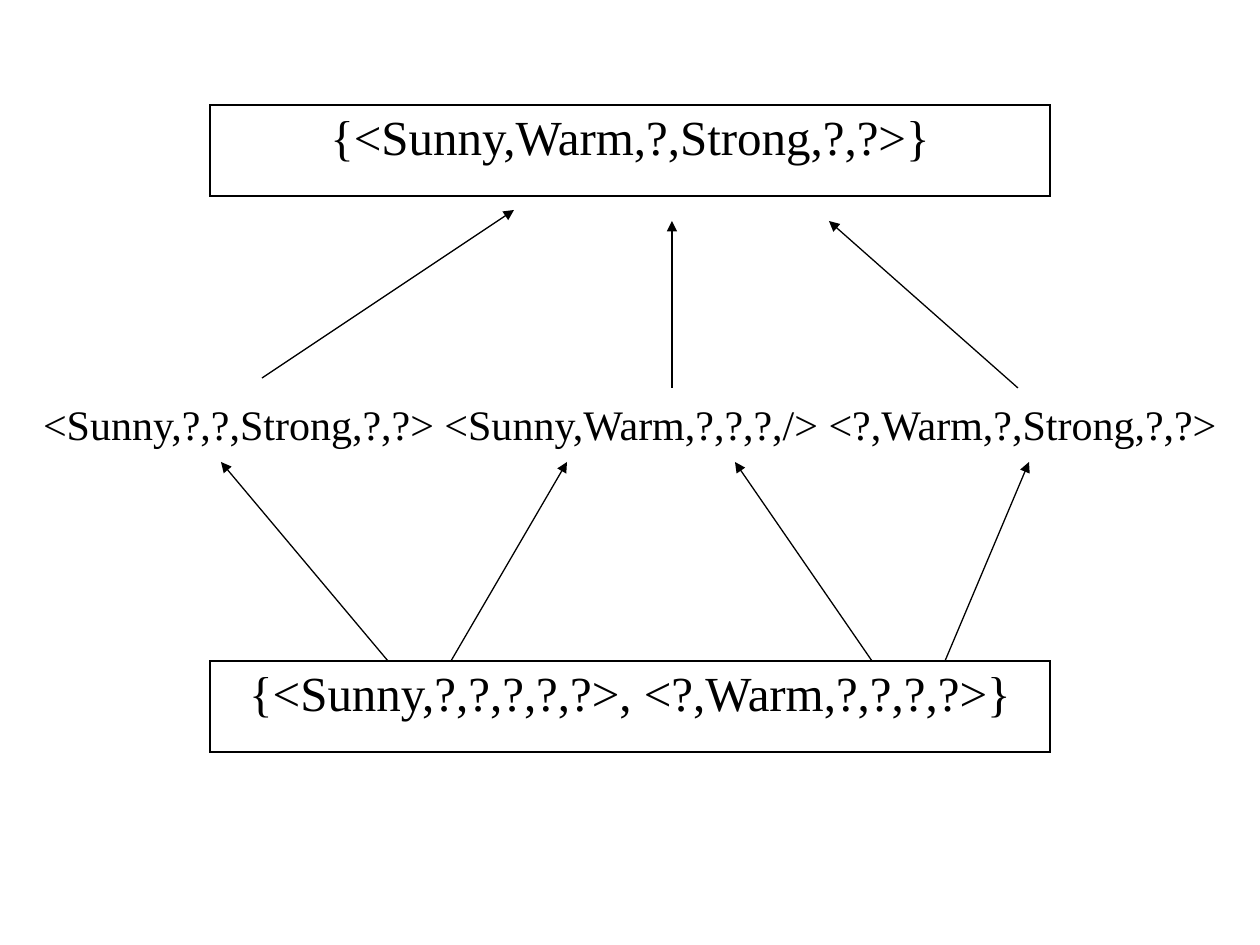
import pptx
import pptx.util
import pptx.dml.color
import pptx.enum.shapes
import pptx.enum.text
import pptx.oxml
import pptx.oxml.ns
import lxml.etree

HUES = {"ink": "000000", "page": "FFFFFF"}
FACE = "Times New Roman"
INK = pptx.dml.color.RGBColor.from_string(HUES["ink"])
MID = pptx.enum.text.PP_ALIGN.CENTER


def emu(px):
    return round(px * 914400 / 126)


def write(frame, text, size, gap):
    frame.word_wrap = True
    para = frame.paragraphs[0]
    para.alignment = MID
    para.space_before = pptx.util.Pt(gap)
    run = para.add_run()
    run.text = text
    form = {"name": FACE, "size": pptx.util.Pt(size)}
    for key, val in form.items():
        setattr(run.font, key, val)
    run.font.color.rgb = INK


deck = pptx.Presentation()
deck.slide_width, deck.slide_height = emu(1260), emu(945)
slide = deck.slides.add_slide(deck.slide_layouts[6])
back = slide.background.fill
back.solid()
back.fore_color.rgb = pptx.dml.color.RGBColor.from_string(HUES["page"])

# General (top) and specific (bottom) boundary sets
bounds = [
    (105, "{<Sunny,Warm,?,Strong,?,?>}"),
    (661, "{<Sunny,?,?,?,?,?>, <?,Warm,?,?,?,?>}"),
]
for top, text in bounds:
    size = [emu(n) for n in (210, top, 840, 91)]
    table = slide.shapes.add_table(1, 1, *size).table
    table.first_row = table.horz_banding = False
    cell = table.cell(0, 0)
    write(cell.text_frame, text, 28, 7)
    props = cell._tc.get_or_add_tcPr()
    for side in ("lnL", "lnR", "lnT", "lnB"):
        edge = lxml.etree.SubElement(
            props, pptx.oxml.ns.qn("a:" + side), w=str(pptx.util.Pt(1.08)))
        fill = lxml.etree.SubElement(edge, pptx.oxml.ns.qn("a:solidFill"))
        lxml.etree.SubElement(
            fill, pptx.oxml.ns.qn("a:srgbClr"), val=HUES["ink"])
    cell.fill.background()

# Hypotheses between the bounds
label = slide.shapes.add_textbox(*[emu(n) for n in (0, 392, 1260, 63)])
write(label.text_frame,
      "<Sunny,?,?,Strong,?,?> <Sunny,Warm,?,?,?,/> <?,Warm,?,Strong,?,?>",
      24, 0)

# Arrows: lower row, then upper row
arrows = [
    (388, 661, 221, 462), (451, 661, 567, 462),
    (872, 661, 735, 462), (945, 661, 1029, 462),
    (262, 378, 514, 210), (672, 388, 672, 221), (1018, 388, 829, 221),
]
kind = pptx.enum.shapes.MSO_CONNECTOR.STRAIGHT
for ends in arrows:
    arrow = slide.shapes.add_connector(kind, *[emu(n) for n in ends])
    arrow.line.width = pptx.util.Pt(0.75)
    arrow.line.color.rgb = INK
    line = arrow.line._get_or_add_ln()
    lxml.etree.SubElement(line, pptx.oxml.ns.qn("a:tailEnd"), type="triangle")
    lxml.etree.SubElement(
        arrow._element.spPr, pptx.oxml.ns.qn("a:effectLst"))

deck.save("out.pptx")
